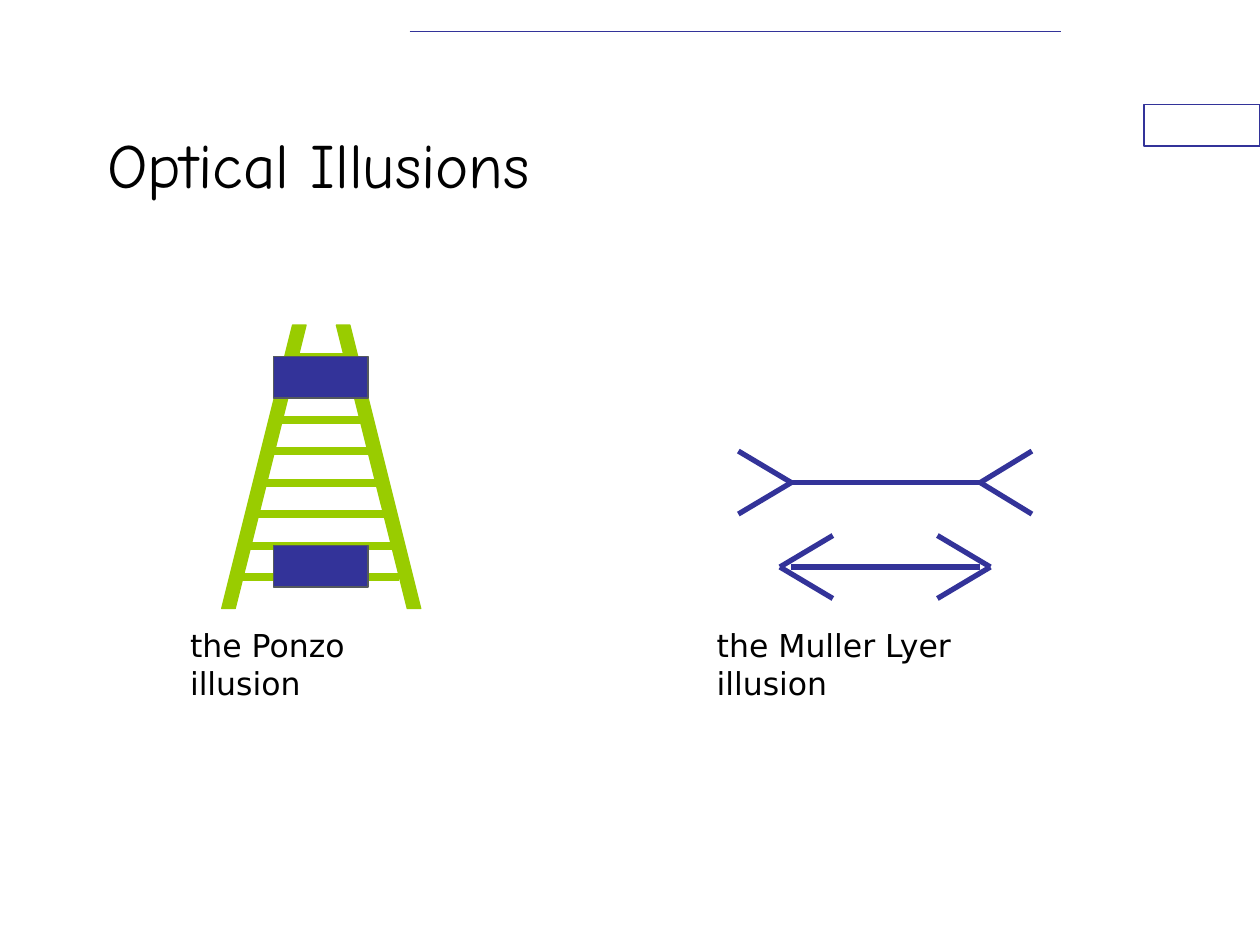
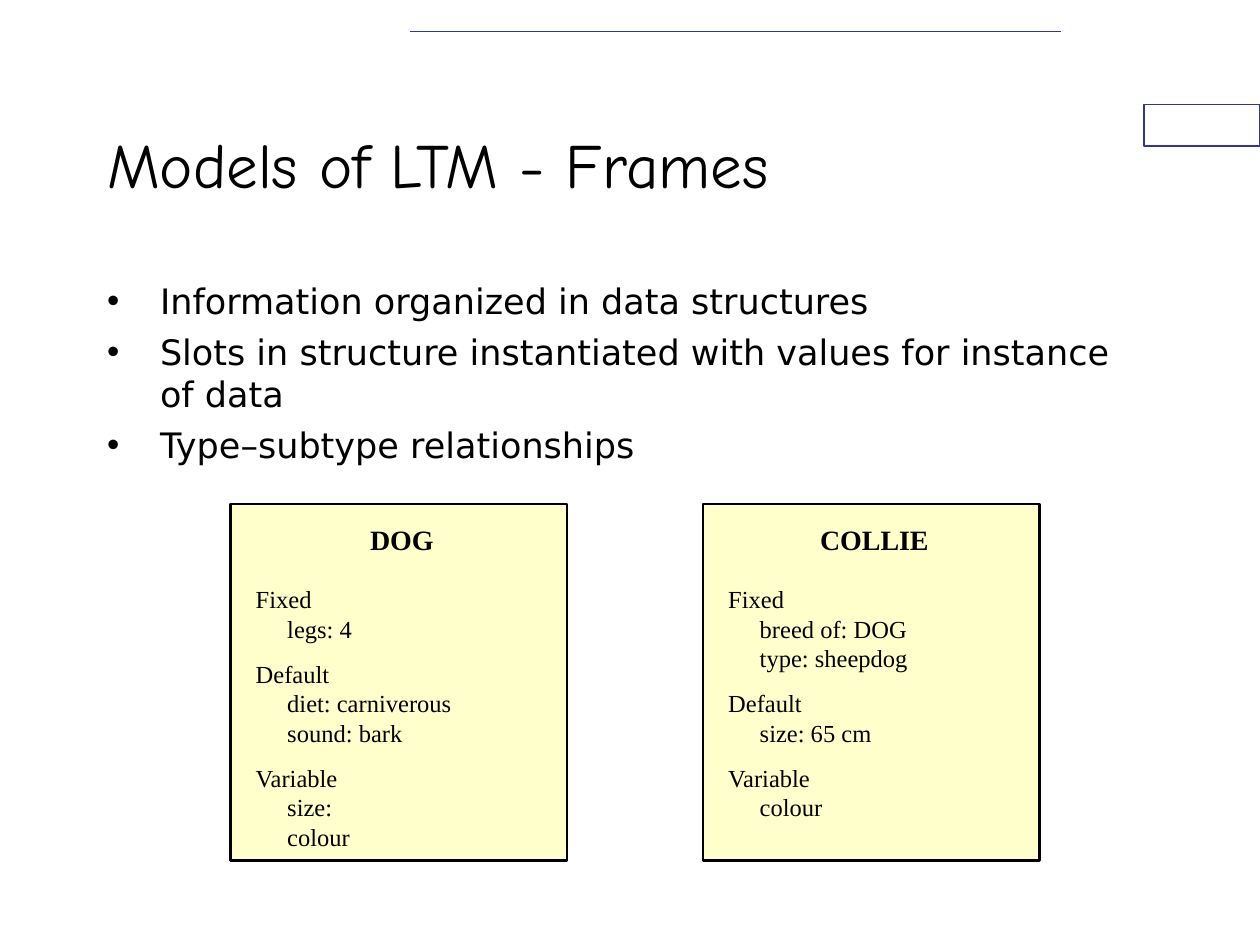
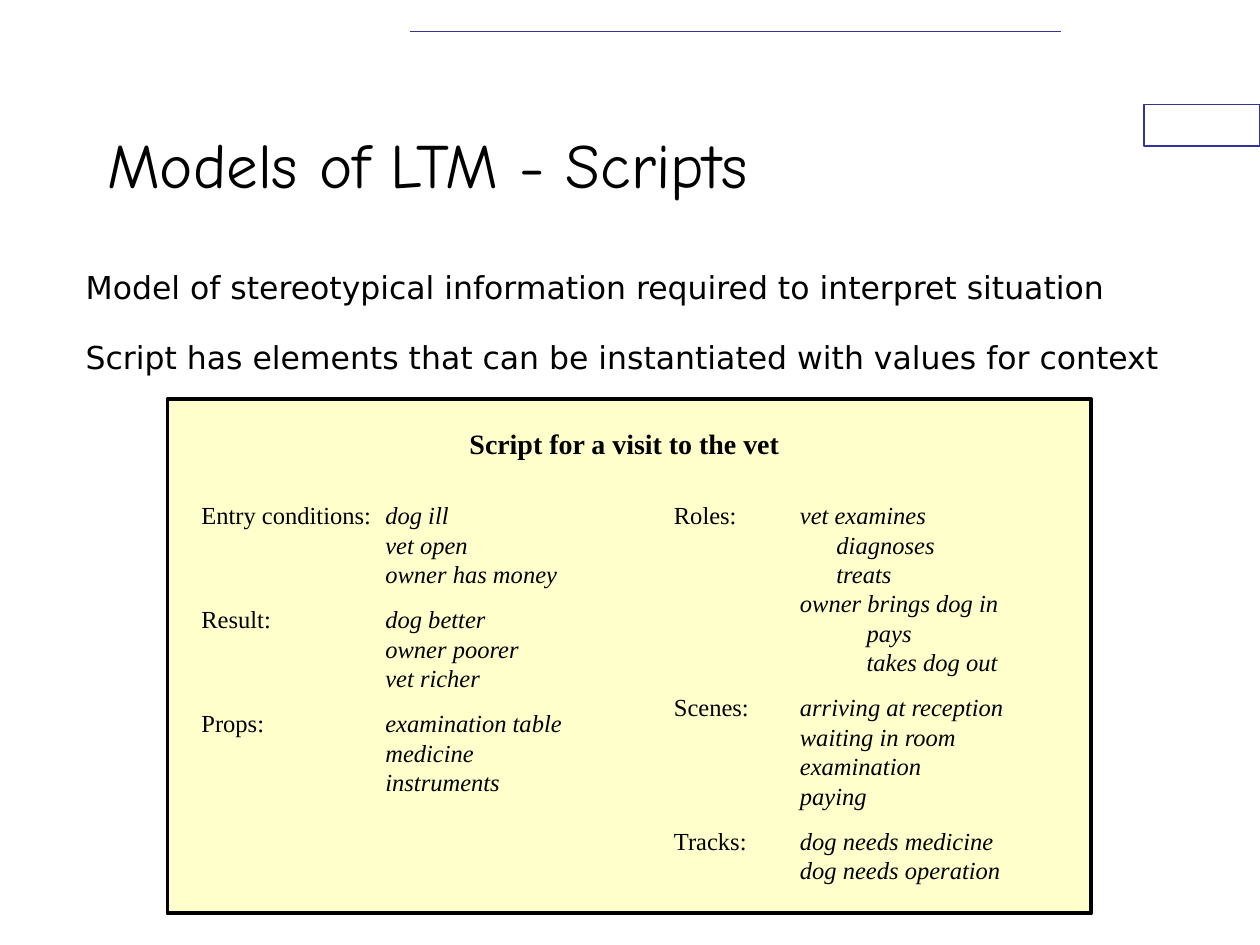
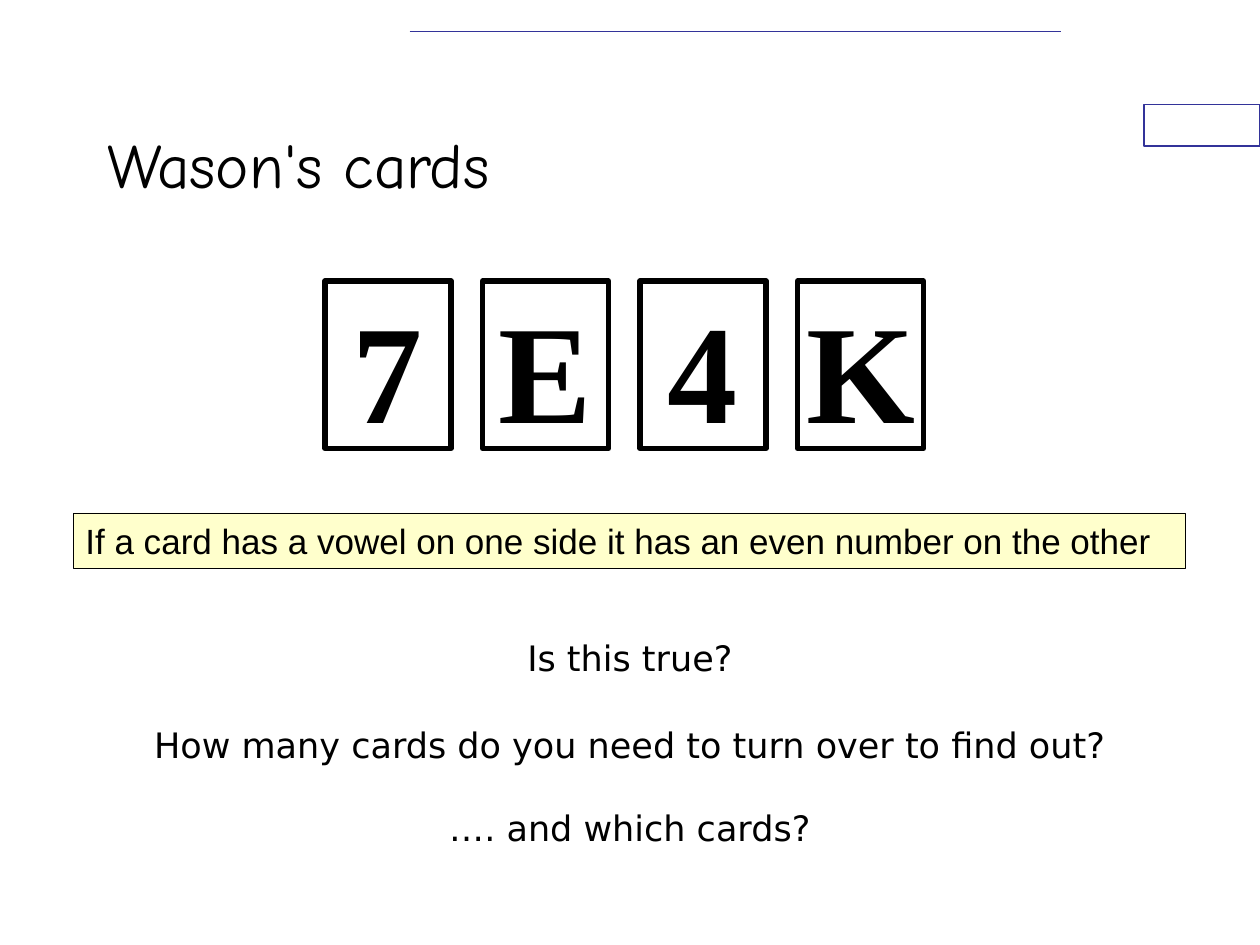
from itertools import chain

from lxml import etree
from pptx import Presentation
from pptx.dml.color import RGBColor
from pptx.enum.shapes import MSO_CONNECTOR, MSO_SHAPE
from pptx.enum.text import MSO_ANCHOR, MSO_AUTO_SIZE, PP_ALIGN
from pptx.oxml.ns import qn
from pptx.util import Inches, Pt

RECTANGLE, PARALLELOGRAM = MSO_SHAPE.RECTANGLE, MSO_SHAPE.PARALLELOGRAM
STRAIGHT = MSO_CONNECTOR.STRAIGHT
TOP, MIDDLE = MSO_ANCHOR.TOP, MSO_ANCHOR.MIDDLE
LEFT, CENTER = PP_ALIGN.LEFT, PP_ALIGN.CENTER
NO_AUTOFIT = MSO_AUTO_SIZE.NONE

BLUE, GREEN, CREAM = "333399", "99CC00", "FFFFCC"
BLACK, WHITE, GREY = "000000", "FFFFFF", "555A5E"
TITLE_FONT, BODY_FONT = "Comic Neue", "DejaVu Sans"
SERIF_FONT, RULE_FONT = "Times New Roman", "Arial"
color = RGBColor.from_string


def add_box(slide, bounds, fill=None, line=None, width=0.75, preset=RECTANGLE, anchor=TOP):
    shape = slide.shapes.add_shape(preset, *map(Inches, bounds))
    shape.shadow.inherit = False
    if fill:
        shape.fill.solid()
        shape.fill.fore_color.rgb = color(fill)
    else:
        shape.fill.background()
    if line:
        shape.line.color.rgb = color(line)
        shape.line.width = Pt(width)
    else:
        shape.line.fill.background()
    shape.text_frame.word_wrap = True
    shape.text_frame.vertical_anchor = anchor
    return shape


def write(frame, text, font, size, bold=None, align=LEFT, before=0, margin=0, hanging=0):
    """Fill the first paragraph while it is empty, else add another one."""
    paragraph = frame.paragraphs[0] if not frame.text else frame.add_paragraph()
    paragraph.text = text
    paragraph.alignment = align
    paragraph.space_before = Pt(before)
    paragraph.font.name = font
    paragraph.font.size = Pt(size)
    paragraph.font.bold = bold
    paragraph.font.color.rgb = color(BLACK)
    properties = paragraph._p.get_or_add_pPr()
    properties.set("marL", str(Inches(margin)))
    properties.set("indent", str(-Inches(hanging)))
    return paragraph


presentation = Presentation()
presentation.slide_width, presentation.slide_height = Inches(10), Inches(7.5)
master = presentation.slide_master
content_layout, title_layout = presentation.slide_layouts[1], presentation.slide_layouts[5]

# Slides with their titles
slides = []
for title, layout in [
    ("Optical Illusions", title_layout),
    ("Models of LTM - Frames", content_layout),
    ("Models of LTM - Scripts", content_layout),
    ("Wason's cards", content_layout),
]:
    slide = presentation.slides.add_slide(layout)
    heading = slide.shapes.title
    heading.left, heading.top, heading.width, heading.height = map(Inches, (0.75, 0.67, 7.5, 1.25))
    heading.text_frame.vertical_anchor = MIDDLE
    heading.text_frame.auto_size = NO_AUTOFIT
    write(heading.text_frame, title, TITLE_FONT, 36)
    slides.append(slide)
illusions, frames, scripts, cards = slides

# Shared header line and side box, moved to the master
side_box = add_box(illusions, (9.08, 0.83, 0.92, 0.33), WHITE, BLUE)
header_line = illusions.shapes.add_connector(STRAIGHT, *map(Inches, (3.25, 0.25, 8.42, 0.25)))
header_line.line.color.rgb = color(BLUE)
header_line.line.width = Pt(1)
for shape in (side_box, header_line):
    master.shapes.element.append(shape.element)

# Body lists: slide, bounds, size, alignment, bulleted, (space before, text)
bodies = [
    (frames, (0.75, 2.17, 8.5, 1.75), 20, LEFT, True, [
        (5, "Information organized in data structures"),
        (5, "Slots in structure instantiated with values for instance of data"),
        (5, "Type–subtype relationships"),
    ]),
    (scripts, (0.58, 2.08, 8.83, 1.17), 18, LEFT, False, [
        (4.5, "Model of stereotypical information required to interpret situation"),
        (18, "Script has elements that can be instantiated with values for context"),
    ]),
    (cards, (0.75, 5, 8.5, 1.92), 20, CENTER, False, [
        (5, "Is this true?"),
        (26, "How many cards do you need to turn over to find out?"),
        (23, "…. and which cards?"),
    ]),
]
for slide, bounds, size, align, bulleted, lines in bodies:
    body = slide.placeholders[1]
    body.left, body.top, body.width, body.height = map(Inches, bounds)
    body.text_frame.auto_size = NO_AUTOFIT
    indent = 0.42 if bulleted else 0
    for before, text in lines:
        paragraph = write(body.text_frame, text, BODY_FONT, size, align=align,
                          before=before, margin=indent, hanging=indent)
        if not bulleted:
            properties = paragraph._p.get_or_add_pPr()
            properties.insert_element_before(
                etree.Element(qn("a:buNone")), "a:tabLst", "a:defRPr", "a:extLst")

# Slide 1: rails of the Ponzo ladder
for left, flipped in [(1.76, False), (2.67, True)]:
    rail = add_box(illusions, (left, 2.58, 0.67, 2.25), GREEN, GREEN, preset=PARALLELOGRAM)
    rail.adjustments[0] = 0.84
    if flipped:
        rail.element.spPr.xfrm.set("flipH", "1")

# Slide 1: ladder rungs, then the two Muller Lyer figures
rungs = [(1.84, 3.17, 4.58), (1.92, 3.17, 4.33), (2.01, 3.09, 4.08), (2.09, 3.01, 3.83),
         (2.17, 2.92, 3.58), (2.17, 2.92, 3.33), (2.34, 2.76, 2.83)]
strokes = [(GREEN, 4.5, (start, y, end, y)) for start, end, y in rungs]
for y, fins in [(3.83, [(6.28, 5.86), (7.78, 8.19)]), (4.5, [(6.19, 6.61), (7.86, 7.44)])]:
    strokes.append((BLUE, 3, (7.78, y, 6.28, y)))
    for tip, end in fins:
        strokes += [(BLUE, 3, (tip, y, end, y + rise)) for rise in (-0.25, 0.25)]
for stroke_color, width, points in strokes:
    stroke = illusions.shapes.add_connector(STRAIGHT, *map(Inches, points))
    stroke.line.color.rgb = color(stroke_color)
    stroke.line.width = Pt(width)

# Slide 1: equal blocks and captions
for top in (4.33, 2.83):
    add_box(illusions, (2.17, top, 0.75, 0.33), BLUE, GREY)
for left, width, text in [(1.41, 2.28, "the Ponzo illusion"), (5.59, 2.87, "the Muller Lyer illusion")]:
    caption = illusions.shapes.add_textbox(*map(Inches, (left, 4.92, width, 0.7)))
    caption.text_frame.word_wrap = True
    write(caption.text_frame, text, BODY_FONT, 18)

# Slide 2: frames with their slots
for left, name, sections in [
    (1.83, "DOG", [
        ("Fixed", ["legs: 4"]),
        ("Default", ["diet: carniverous", "sound: bark"]),
        ("Variable", ["size:", "colour"]),
    ]),
    (5.58, "COLLIE", [
        ("Fixed", ["breed of: DOG", "type: sheepdog"]),
        ("Default", ["size: 65 cm"]),
        ("Variable", ["colour"]),
    ]),
]:
    text_frame = add_box(frames, (left, 4, 2.67, 2.83), CREAM, BLACK, 1.5).text_frame
    text_frame.margin_left, text_frame.margin_right = Inches(0.2), Inches(0.15)
    text_frame.margin_top = Inches(0.15)
    write(text_frame, name, SERIF_FONT, 16, bold=True, align=CENTER)
    for index, (section, slots) in enumerate(sections):
        write(text_frame, section, SERIF_FONT, 14, before=9 if index else 16)
        for slot in slots:
            write(text_frame, slot, SERIF_FONT, 14, margin=0.25)

# Slide 3: script panel and its heading
add_box(scripts, (1.33, 3.17, 7.33, 4.08), CREAM, BLACK, 2.25)
panel_heading = add_box(scripts, (3.58, 3.33, 2.75, 0.37), CREAM, anchor=MIDDLE)
write(panel_heading.text_frame, "Script for a visit to the vet", SERIF_FONT, 16, bold=True, align=CENTER)

# Slide 3: columns of labels with (extra indent, value) lines
for bounds, value_indent, sections in [
    ((1.5, 3.92, 3.25, 2.47), 1.46, [
        ("Entry conditions:", [(0, "dog ill"), (0, "vet open"), (0, "owner has money")]),
        ("Result:", [(0, "dog better"), (0, "owner poorer"), (0, "vet richer")]),
        ("Props:", [(0, "examination table"), (0, "medicine"), (0, "instruments")]),
    ]),
    ((5.25, 3.92, 2.82, 3.17), 1, [
        ("Roles:", [(0, "vet examines"), (0.29, "diagnoses"), (0.29, "treats"),
                    (0, "owner brings dog in"), (0.53, "pays"), (0.53, "takes dog out")]),
        ("Scenes:", [(0, "arriving at reception"), (0, "waiting in room"),
                     (0, "examination"), (0, "paying")]),
        ("Tracks:", [(0, "dog needs medicine"), (0, "dog needs operation")]),
    ]),
]:
    text_frame = add_box(scripts, bounds, CREAM).text_frame
    for section_index, (label, values) in enumerate(sections):
        for index, (extra, value) in enumerate(values):
            first = index == 0
            paragraph = write(text_frame, label + "\t" if first else "", SERIF_FONT, 14,
                              before=9 if first and section_index else 0,
                              margin=value_indent + extra, hanging=value_indent if first else 0)
            run = paragraph.add_run()
            run.text = value
            run.font.italic = True

# Slide 4: rule and row of cards
rule = add_box(cards, (0.58, 4.07, 8.83, 0.44), CREAM, BLACK, 0.25, anchor=MIDDLE)
write(rule.text_frame, "If a card has a vowel on one side it has an even number on the other", RULE_FONT, 20)
for index, symbol in enumerate("7E4K"):
    card = add_box(cards, (2.58 + 1.25 * index, 2.23, 1, 1.33), line=BLACK, width=3, anchor=MIDDLE)
    text_frame = card.text_frame
    text_frame.margin_left = text_frame.margin_right = text_frame.margin_bottom = 0
    write(text_frame, symbol, SERIF_FONT, 80, bold=True, align=CENTER)

# Connectors without the theme's shadow
for shape in chain(master.shapes, illusions.shapes):
    if shape.element.tag == qn("p:cxnSp"):
        etree.SubElement(shape.element.spPr, qn("a:effectLst"))

presentation.save("out.pptx")
